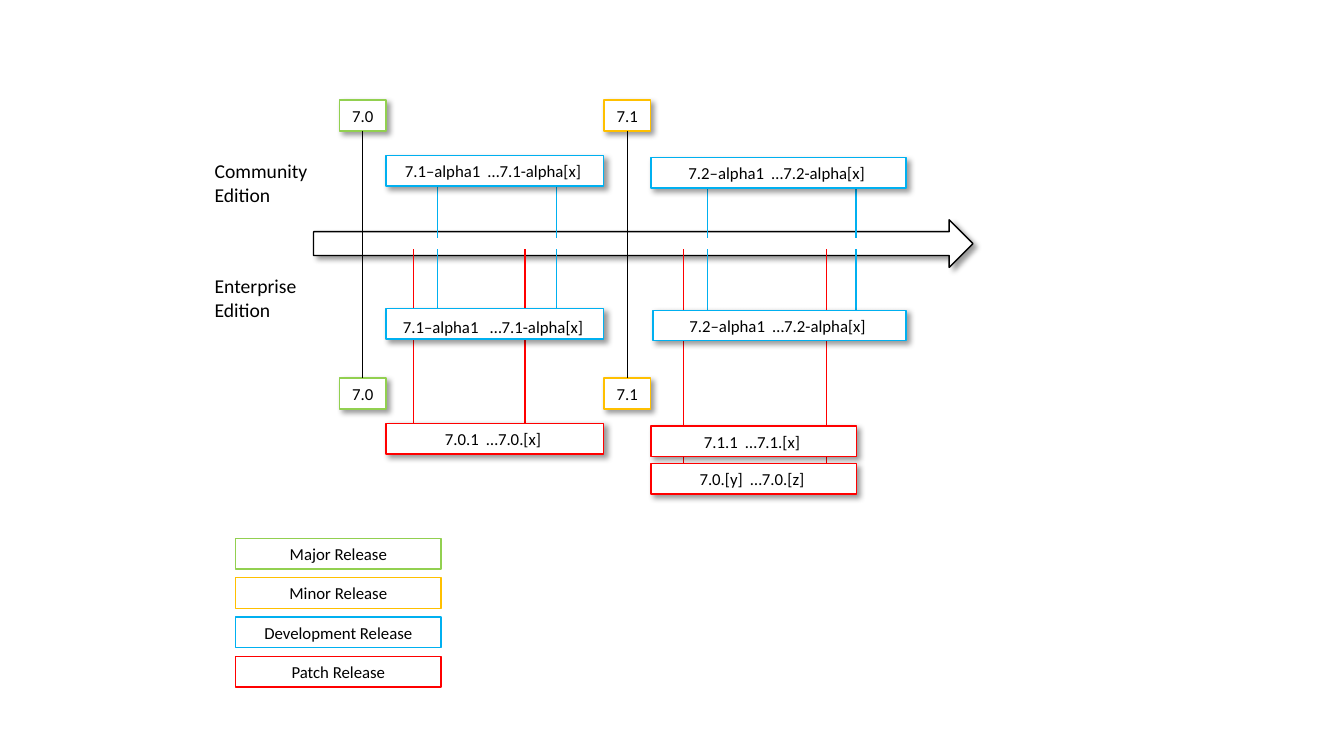
"""Release timeline of the community and enterprise editions, with a legend."""
from lxml import etree
from pptx import Presentation
from pptx.dml.color import RGBColor
from pptx.enum.shapes import MSO_CONNECTOR, MSO_SHAPE
from pptx.enum.text import MSO_ANCHOR, MSO_AUTO_SIZE, PP_ALIGN
from pptx.oxml import parse_xml
from pptx.oxml.ns import qn
from pptx.util import Pt

RECTANGLE, RIGHT_ARROW = MSO_SHAPE.RECTANGLE, MSO_SHAPE.RIGHT_ARROW
STRAIGHT = MSO_CONNECTOR.STRAIGHT
MIDDLE, CENTER = MSO_ANCHOR.MIDDLE, PP_ALIGN.CENTER
FIT_SHAPE = MSO_AUTO_SIZE.SHAPE_TO_FIT_TEXT
BLACK = RGBColor(0x00, 0x00, 0x00)
WHITE = RGBColor(0xFF, 0xFF, 0xFF)
MAJOR = RGBColor(0x92, 0xD0, 0x50)
MINOR = RGBColor(0xFF, 0xC0, 0x00)
DEVELOPMENT = RGBColor(0x00, 0xB0, 0xF0)
PATCH = RGBColor(0xFF, 0x00, 0x00)
FONT = "Calibri"
BOX_HEIGHT = 21.8
SHADOW = (
    '<a:outerShdw xmlns:a="http://schemas.openxmlformats.org/drawingml/2006/main"'
    ' blurRad="50800" dist="38100" dir="2700000" algn="tl" rotWithShape="0">'
    '<a:srgbClr val="000000"><a:alpha val="40000"/></a:srgbClr></a:outerShdw>'
)

prs = Presentation()
prs.slide_width, prs.slide_height = Pt(960), Pt(540)
slide = prs.slides.add_slide(prs.slide_layouts[6])


def add_box(kind, left, top, width, height, color, parts=(), shadowed=True):
    box = slide.shapes.add_shape(kind, Pt(left), Pt(top), Pt(width), Pt(height))
    box.fill.solid()
    box.fill.fore_color.rgb = WHITE
    box.line.color.rgb = color
    box.line.width = Pt(1)
    box.shadow.inherit = False
    if shadowed:
        box._element.spPr.find(qn("a:effectLst")).append(parse_xml(SHADOW))
    frame = box.text_frame
    frame.vertical_anchor = MIDDLE
    frame.paragraphs[0].alignment = CENTER
    for part in parts:
        run = frame.paragraphs[0].add_run()
        run.text = part
        run.font.name = FONT
        run.font.size = Pt(12 if part.strip() else 18)
        run.font.color.rgb = BLACK


def add_marker(x, top, bottom, color):
    marker = slide.shapes.add_connector(STRAIGHT, Pt(x), Pt(top), Pt(x), Pt(bottom))
    marker.line.color.rgb = color
    marker.line.width = Pt(1)
    etree.SubElement(marker._element.spPr, qn("a:effectLst"))


add_box(RIGHT_ARROW, 224, 157, 471, 34, BLACK)

for x, bottom in [(590.4, 331.2), (488.2, 331.2), (375.1, 304.6), (295.2, 302.4)]:
    add_marker(x, 178, bottom, PATCH)

for left, top, width, text in [
    (275.8, 302.4, 155.5, "7.0.1  …7.0.[x] "),
    (465.1, 304.4, 146.9, "7.1.1  …7.1.[x] "),
    (465.1, 331.2, 146.9, "7.0.[y]  …7.0.[z] "),
]:
    add_box(RECTANGLE, left, top, width, BOX_HEIGHT, PATCH, [text])

for left, version, color in [(242.5, "7.0", MAJOR), (431.5, "7.1", MINOR)]:
    for top in (71.3, 270):
        add_box(RECTANGLE, left, top, 33.2, 22.2, color, [version])
    add_marker(left + 16.6, 93.5, 270, BLACK)

for positions, upper_top, lower_bottom in [
    ((312.3, 397.4), 132.7, 220.3),
    ((505.4, 611.4), 134.6, 221.6),
]:
    for x in positions:
        add_marker(x, upper_top, 170, DEVELOPMENT)
        add_marker(x, 178, lower_bottom, DEVELOPMENT)

for left, top, width, parts in [
    (275.8, 111.2, 155.5, ["7.1–alpha1  …7.1-alpha[x] "]),
    (275.8, 220.3, 155.5, ["7.1–alpha1", "  ", "…7.1-alpha[x] "]),
    (465.1, 112.5, 182.2, ["7.2–alpha1  …7.2-alpha[x] "]),
    (466.4, 221.6, 180.9, ["7.2–alpha1  …7.2-alpha[x] "]),
]:
    add_box(RECTANGLE, left, top, width, BOX_HEIGHT, DEVELOPMENT, parts)

for edition, top, width in [("Community", 110.2, 81.4), ("Enterprise", 192.4, 73.4)]:
    label = slide.shapes.add_textbox(Pt(146.2), Pt(top), Pt(width), Pt(41))
    label.text_frame.text = f"{edition}\nEdition"
    label.text_frame.word_wrap = False
    label.text_frame.auto_size = FIT_SHAPE
    for paragraph in label.text_frame.paragraphs:
        font = paragraph.runs[0].font
        font.name, font.size = FONT, Pt(14)
        font.color.rgb = BLACK

legend = [("Major", MAJOR), ("Minor", MINOR), ("Development", DEVELOPMENT), ("Patch", PATCH)]
for row, (release, color) in enumerate(legend):
    add_box(RECTANGLE, 168.3, 384.6 + 28.1 * row, 146.9, BOX_HEIGHT, color,
            [f"{release} Release"], shadowed=False)

prs.save("out.pptx")
